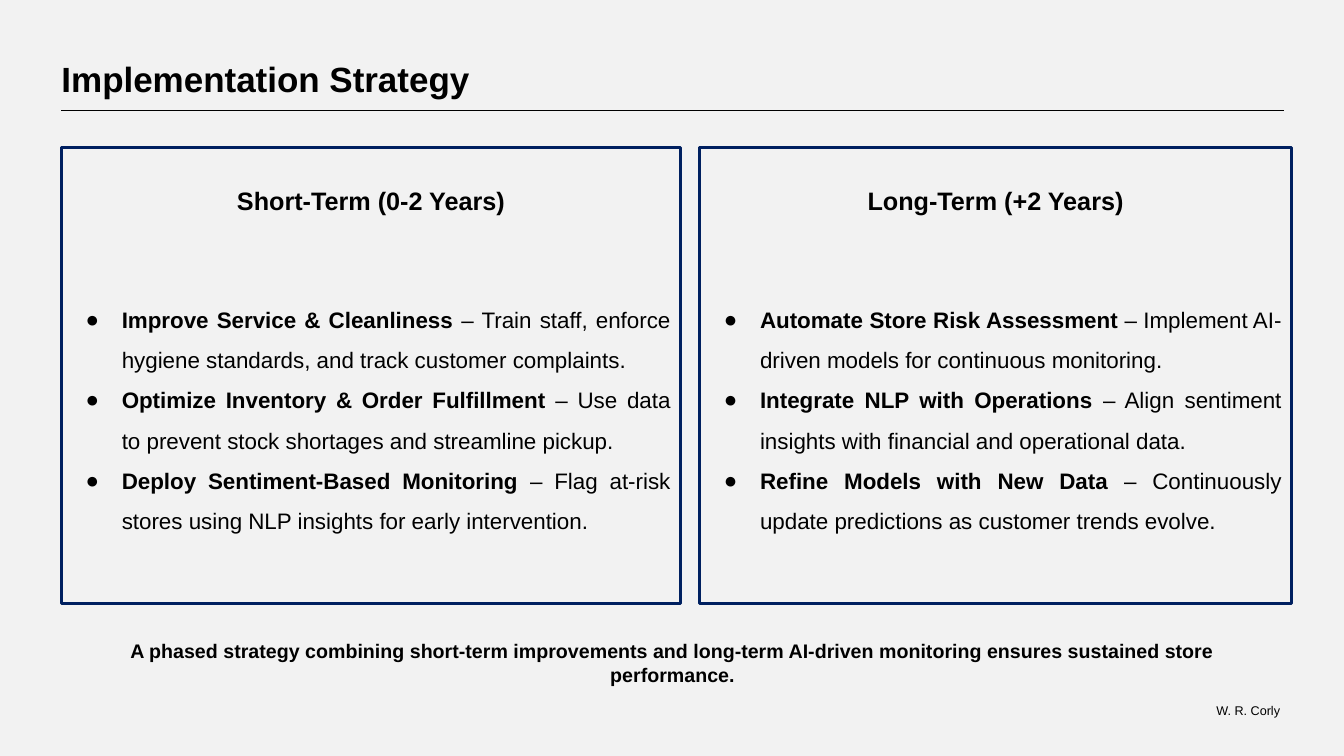
import pptx
import pptx.util
import pptx.dml.color
import pptx.enum.shapes
import pptx.enum.text
import pptx.oxml.ns
import lxml.etree

ALIGN = pptx.enum.text.PP_ALIGN
ANCHOR = pptx.enum.text.MSO_ANCHOR
TAG = pptx.oxml.ns.qn


def px(num):
    return pptx.util.Emu(num * 9144)


def color(code):
    return pptx.dml.color.RGBColor.from_string(code)


class Deck:
    face = "Arial"
    ink = "000000"
    edge = "002060"
    back = "F2F2F2"

    def __init__(self):
        self.show = pptx.Presentation()
        self.show.slide_width = px(1333)
        self.show.slide_height = px(750)
        self.slide = self.show.slides.add_slide(self.show.slide_layouts[6])
        fill = self.slide.background.fill
        fill.solid()
        fill.fore_color.rgb = color(self.back)

    def style(self, para, size, bold, align):
        para.alignment = align
        font = para.font
        font.name = self.face
        font.size = pptx.util.Pt(size)
        font.bold = bold
        font.color.rgb = color(self.ink)

    def frame(self, shape, anchor, inset):
        body = shape.text_frame
        body.word_wrap = True
        body.vertical_anchor = anchor
        body.margin_left, body.margin_top, body.margin_right, body.margin_bottom = map(px, inset)
        return body

    def text(self, box, words, size, bold=False, align=ALIGN.LEFT,
             anchor=ANCHOR.MIDDLE, inset=(0, 0, 0, 0)):
        shape = self.slide.shapes.add_textbox(*map(px, box))
        para = self.frame(shape, anchor, inset).paragraphs[0]
        para.text = words
        self.style(para, size, bold, align)

    def rule(self, left, right, top):
        line = self.slide.shapes.add_connector(
            pptx.enum.shapes.MSO_CONNECTOR.STRAIGHT, px(left), px(top), px(right), px(top))
        line.line.color.rgb = color(self.ink)
        line.line.width = pptx.util.Pt(0.75)
        lxml.etree.SubElement(line._element.spPr, TAG("a:effectLst"))

    def bullet(self, para, size):
        props = para._p.get_or_add_pPr()
        props.set("marL", str(px(50)))
        props.set("indent", str(px(-36)))
        tint = lxml.etree.SubElement(props, TAG("a:buClr"))
        lxml.etree.SubElement(tint, TAG("a:srgbClr"), val=self.ink)
        lxml.etree.SubElement(props, TAG("a:buSzPts"), val=str(size * 100))
        lxml.etree.SubElement(props, TAG("a:buFont"), typeface=self.face)
        lxml.etree.SubElement(props, TAG("a:buChar"), char="●")

    def panel(self, box, head, items):
        shape = self.slide.shapes.add_shape(
            pptx.enum.shapes.MSO_SHAPE.RECTANGLE, *map(px, box))
        shape.shadow.inherit = False
        shape.fill.background()
        shape.line.color.rgb = color(self.edge)
        shape.line.width = pptx.util.Pt(2.25)
        body = self.frame(shape, ANCHOR.TOP, (10, 23, 10, 10))
        para = body.paragraphs[0]
        para.text = head
        para.line_spacing = 1.5
        para.space_before = pptx.util.Pt(12)
        self.style(para, 18, True, ALIGN.CENTER)
        for spot, (lead, rest) in enumerate(items):
            para = body.add_paragraph()
            para.line_spacing = 1.5
            para.space_before = pptx.util.Pt(0 if spot else 55)
            self.bullet(para, 16)
            self.style(para, 16, False, ALIGN.JUSTIFY)
            for words, bold in ((lead, True), (f" – {rest}", False)):
                run = para.add_run()
                run.text = words
                run.font.bold = bold


SHORT = [
    ("Improve Service & Cleanliness",
     "Train staff, enforce hygiene standards, and track customer complaints."),
    ("Optimize Inventory & Order Fulfillment",
     "Use data to prevent stock shortages and streamline pickup."),
    ("Deploy Sentiment-Based Monitoring",
     "Flag at-risk stores using NLP insights for early intervention."),
]
LONG = [
    ("Automate Store Risk Assessment",
     "Implement AI-driven models for continuous monitoring."),
    ("Integrate NLP with Operations",
     "Align sentiment insights with financial and operational data."),
    ("Refine Models with New Data",
     "Continuously update predictions as customer trends evolve."),
]


def main():
    deck = Deck()
    deck.text((61, 19, 1111, 80), "Implementation Strategy", 25, True, anchor=ANCHOR.BOTTOM)
    deck.rule(61, 1273, 110)
    deck.panel((61, 146, 614, 453), "Short-Term (0-2 Years)", SHORT)
    deck.panel((694, 146, 587, 453), "Long-Term (+2 Years)", LONG)
    deck.text((68, 629, 1198, 57),
              "A phased strategy combining short-term improvements and long-term "
              "AI-driven monitoring ensures sustained store performance.",
              14, True, ALIGN.CENTER, inset=(10, 5, 10, 5))
    deck.text((1198, 697, 80, 15), "W. R. Corly", 9, align=ALIGN.CENTER)
    deck.show.save("out.pptx")


if __name__ == "__main__":
    main()
